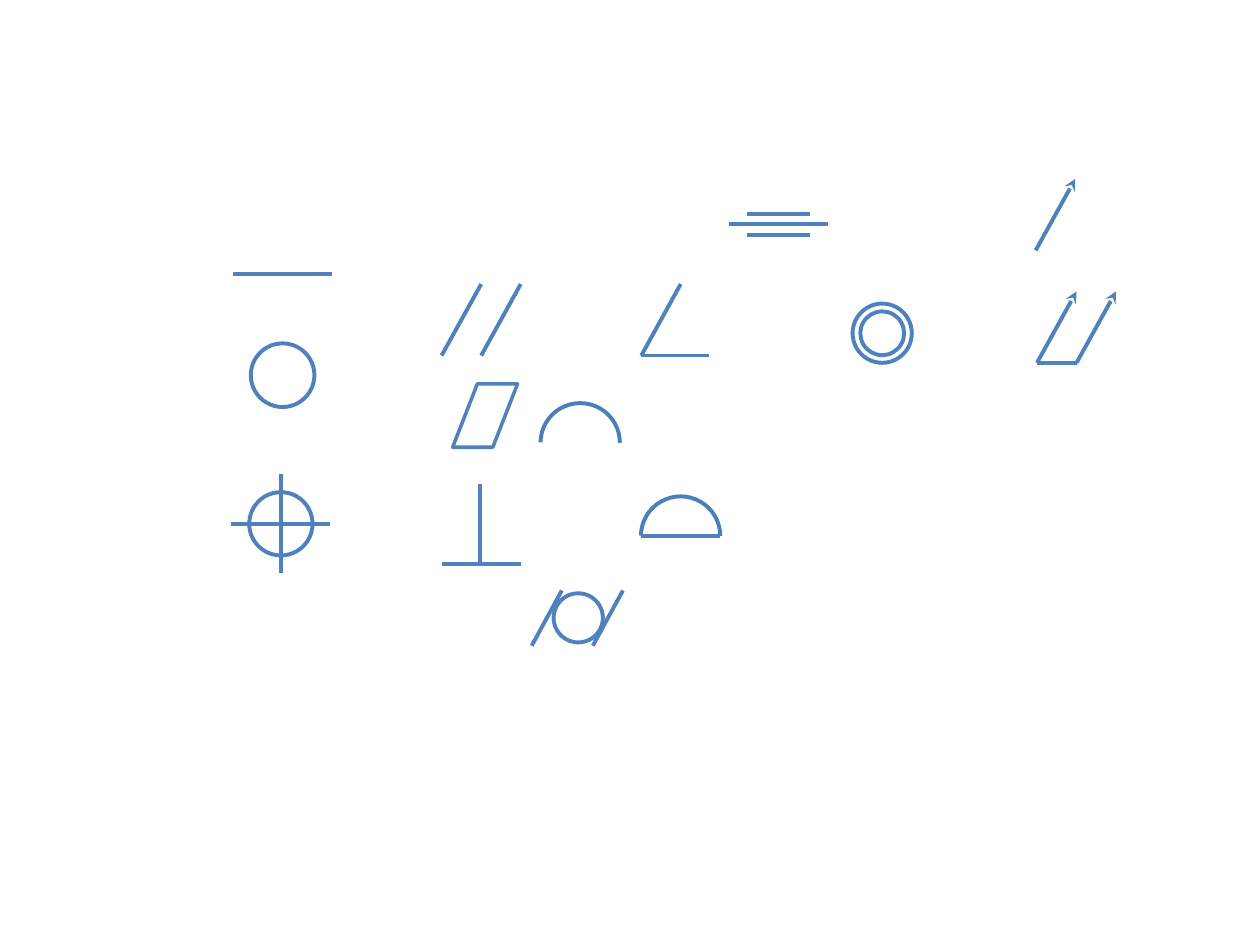
from collections import namedtuple
from lxml.etree import SubElement
from pptx import Presentation
from pptx.dml.color import RGBColor as Rgb
from pptx.enum.shapes import MSO_CONNECTOR as Link, MSO_SHAPE as Kind
from pptx.oxml.ns import qn
from pptx.util import Inches, Pt

COLS, ROWS = 100, 75
INK = {"line": "4F81BD", "arc": "4B7EBC"}
Box = namedtuple("Box", "x y w h")

deck = Presentation()
deck.slide_width, deck.slide_height = Inches(10), Inches(7.5)
page = deck.slides.add_slide(deck.slide_layouts[6])


def spot(box, u, v):
    return (round((box.x + u * box.w) * deck.slide_width / COLS),
            round((box.y + v * box.h) * deck.slide_height / ROWS))


def pen(item, ink="line", width=2.25):
    item.line.color.rgb = Rgb.from_string(INK[ink])
    item.line.width = Pt(width)


def stroke(host, box, start, end, tip=False):
    item = host.add_connector(Link.STRAIGHT, *spot(box, *start), *spot(box, *end))
    pen(item)
    props = item._element.spPr
    if tip:
        SubElement(props.find(qn("a:ln")), qn("a:tailEnd"), type="stealth")
    SubElement(props, qn("a:effectLst"))


def form(host, kind, box, u=0, v=0, w=1, h=1, ink="line", width=2.25, adjust=()):
    left, top = spot(box, u, v)
    right, low = spot(box, u + w, v + h)
    item = host.add_shape(kind, left, top, right - left, low - top)
    item.shadow.inherit = False
    item.fill.background()
    pen(item, ink, width)
    for i, value in enumerate(adjust):
        item.adjustments[i] = value


def flat(host, box):
    stroke(host, box, (0, 0), (1, 0))


def ring(host, box):
    form(host, Kind.OVAL, box)


def cross(host, box):
    form(host, Kind.OVAL, box, 0.18, 0.18, 0.64, 0.64)
    stroke(host, box, (0, 0.5), (1, 0.5))
    stroke(host, box, (0.5, 0), (0.5, 1))


def slant(host, box, share=0.5, tip=False):
    for u in (0, 1 - share):
        stroke(host, box, (u, 1), (u + share, 0), tip)


def skew(host, box):
    form(host, Kind.PARALLELOGRAM, box, width=2, adjust=(0.39,))


def upright(host, box):
    stroke(host, box, (0, 1), (1, 1))
    stroke(host, box, (0.48, 0), (0.48, 1))


def arch(host, box):
    form(host, Kind.ARC, box, ink="arc", adjust=(108.387, 0))


def dome(host, box):
    arch(host, box)
    stroke(host, box, (0, 0.5), (1, 0.5))


def barrel(host, box):
    form(host, Kind.OVAL, box, 0.24, 0.05, 0.54, 0.89)
    slant(host, box, 0.33)


def angle(host, box):
    stroke(host, box, (0, 1), (0.58, 0))
    stroke(host, box, (0, 1), (1, 1))


def rings(host, box):
    for gap in (0.13, 0):
        form(host, Kind.OVAL, box, gap, gap, 1 - 2 * gap, 1 - 2 * gap)


def level(host, box):
    for u, v in ((0, 0.47), (0.18, 0), (0.18, 1)):
        stroke(host, box, (u, v), (1 - u, v))


def runout(host, box):
    slant(host, box, tip=True)
    stroke(host, box, (0, 1), (0.5, 1))


def arrow(host, box):
    stroke(host, box, (0, 1), (1, 0), True)


SIGNS = (
    (flat, 18.5, 21.75, 7.87, 0),
    (ring, 19.9, 27.25, 5.05, 5.05),
    (cross, 18.37, 37.65, 7.85, 7.85),
    (slant, 35.05, 22.55, 6.28, 5.67),
    (skew, 35.93, 30.47, 5.15, 5.03),
    (upright, 35.1, 38.42, 6.25, 6.33),
    (arch, 42.9, 32, 6.3, 6.3),
    (dome, 50.87, 39.4, 6.3, 6.3),
    (barrel, 42.2, 46.87, 7.24, 4.38),
    (angle, 50.9, 22.55, 5.38, 5.67),
    (rings, 67.67, 24.1, 4.7, 4.7),
    (level, 57.87, 17, 7.85, 1.68),
    (runout, 82.3, 23.13, 6.28, 5.67),
    (arrow, 82.2, 14.2, 3.14, 5.67),
)
SINGLE = (flat, ring, skew, arch, arrow)

for draw, *area in SIGNS:
    shapes = page.shapes
    draw(shapes if draw in SINGLE else shapes.add_group_shape().shapes, Box(*area))

deck.save("out.pptx")
